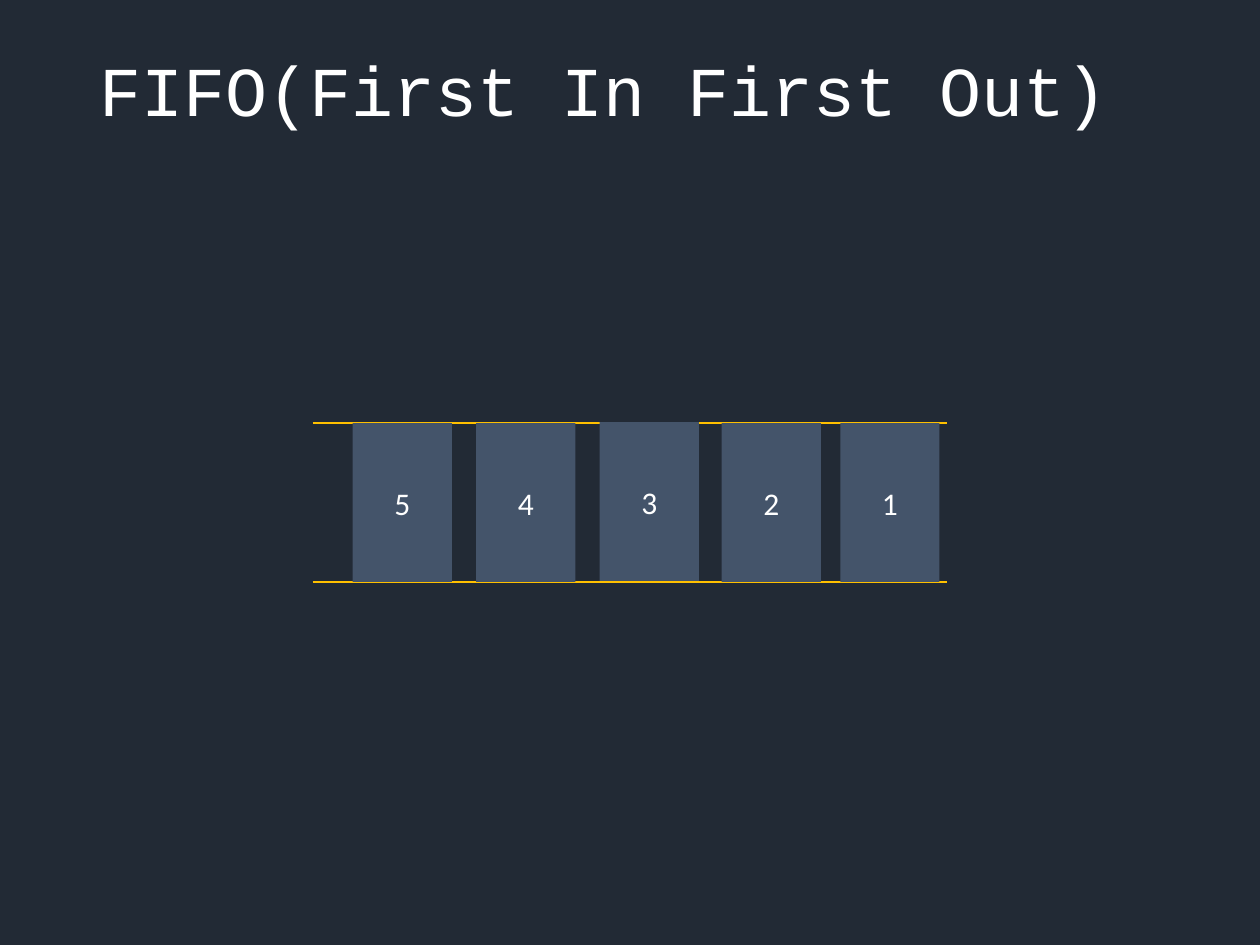
from pptx import Presentation
from pptx.dml.color import RGBColor
from pptx.enum import shapes, text
from pptx.oxml.ns import qn
from pptx.util import Cm, Pt
from lxml import etree

HUES = {"back": "222A35", "rail": "FFC000", "cell": "44546A", "text": "FFFFFF"}
HUES = {name: RGBColor.from_string(code) for name, code in HUES.items()}

deck = Presentation()
deck.slide_width, deck.slide_height = Cm(25.4), Cm(19.05)
slide = deck.slides.add_slide(deck.slide_layouts[6])


def block(left, top, width, height, hue):
    rect = slide.shapes.add_shape(
        shapes.MSO_SHAPE.RECTANGLE, Cm(left), Cm(top), Cm(width), Cm(height))
    rect.shadow.inherit = False
    rect.fill.solid()
    rect.fill.fore_color.rgb = HUES[hue]
    rect.line.fill.background()
    return rect


def write(shape, words, face, size):
    para = shape.text_frame.paragraphs[0]
    para.text = words
    para.font.name = face
    para.font.size = Pt(size)
    para.font.color.rgb = HUES["text"]
    return para


block(0, 0, 25.4, 19.05, "back")

top, height = 8.53, 3.2
for level in (top + height, top):
    rail = slide.shapes.add_connector(
        shapes.MSO_CONNECTOR.STRAIGHT, Cm(6.3), Cm(level), Cm(19.1), Cm(level))
    rail.line.color.rgb = HUES["rail"]
    rail.line.width = Pt(1)
    etree.SubElement(rail._element.spPr, qn("a:effectLst"))

queue = [(16.94, top), (14.55, top), (12.09, 8.51), (9.6, top), (7.11, top)]
for order, (left, start) in enumerate(queue, 1):
    cell = block(left, start, 2, height, "cell")
    cell.text_frame.vertical_anchor = text.MSO_ANCHOR.MIDDLE
    para = write(cell, str(order), "Calibri", 18)
    para.alignment = text.PP_ALIGN.CENTER

title = slide.shapes.add_textbox(Cm(1.75), Cm(1.01), Cm(21.9), Cm(3.68))
title.text_frame.word_wrap = True
para = write(title, "FIFO(First In First Out)", "Courier New", 40)
para.line_spacing = 0.9

deck.save("out.pptx")
